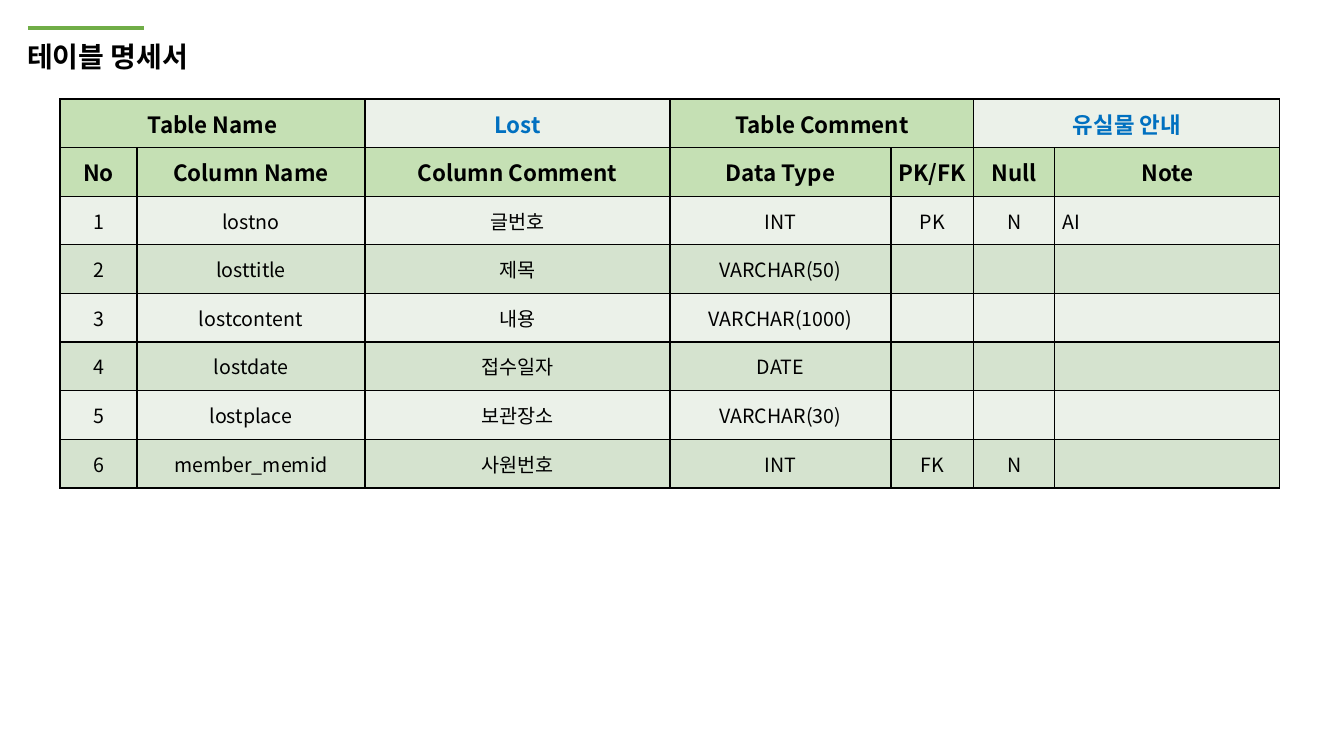
from lxml.etree import SubElement
from pptx import Presentation
from pptx.dml.color import RGBColor
from pptx.enum.shapes import MSO_CONNECTOR as Connector
from pptx.enum.text import MSO_ANCHOR as Anchor, MSO_AUTO_SIZE as AutoSize, PP_ALIGN as Align
from pptx.oxml.ns import qn
from pptx.util import Pt

# Content
TITLE = "테이블 명세서"
# text, first column, columns spanned, text colour, fill
SUMMARY = [
    ("Table Name", 0, 2, "000000", "C5E0B4"),
    ("Lost", 2, 1, "0070C0", "EBF1E9"),
    ("Table Comment", 3, 2, "000000", "C5E0B4"),
    ("유실물 안내", 5, 2, "0070C0", "EBF1E9"),
]
HEADINGS = ["No", "Column Name", "Column Comment", "Data Type", "PK/FK", "Null", "Note"]
FIELDS = [
    ("lostno", "글번호", "INT", "PK", "N", "AI"),
    ("losttitle", "제목", "VARCHAR(50)", "", "", ""),
    ("lostcontent", "내용", "VARCHAR(1000)", "", "", ""),
    ("lostdate", "접수일자", "DATE", "", "", ""),
    ("lostplace", "보관장소", "VARCHAR(30)", "", "", ""),
    ("member_memid", "사원번호", "INT", "FK", "N", ""),
]
FONT = "Noto Sans CJK KR"
HEADING_FILL = "C5E0B4"
BAND_FILLS = ["EBF1E9", "D5E3CF"]
COLUMN_WIDTHS = [77, 228, 305, 221, 83, 81, 225]
TABLE_LEFT, TABLE_TOP, TABLE_HEIGHT = 60, 99, 389
SLIDE_WIDTH, SLIDE_HEIGHT = 1344, 756
SCALE = 12192000 / SLIDE_WIDTH


def px(length):
    return round(length * SCALE)


def colour(code):
    return RGBColor.from_string(code)


def style(paragraph, size, bold, code, align):
    paragraph.alignment = align
    font = paragraph.font
    font.name, font.size, font.bold = FONT, Pt(size), bold
    font.color.rgb = colour(code)
    defaults = paragraph._p.pPr.find(qn("a:defRPr"))
    SubElement(defaults, qn("a:ea"), typeface=FONT)


def add_borders(cell):
    properties = cell._tc.get_or_add_tcPr()
    for position, side in enumerate(("a:lnL", "a:lnR", "a:lnT", "a:lnB")):
        line = SubElement(properties, qn(side), w=str(Pt(1)))
        fill = SubElement(line, qn("a:solidFill"))
        SubElement(fill, qn("a:srgbClr"), val="000000")
        properties.insert(position, line)


def fill_cell(cell, text, fill, size, bold=False, code="000000", align=Align.CENTER):
    cell.text = text
    cell.vertical_anchor = Anchor.MIDDLE
    cell.fill.solid()
    cell.fill.fore_color.rgb = colour(fill)
    style(cell.text_frame.paragraphs[0], size, bold, code, align)


deck = Presentation()
deck.slide_width, deck.slide_height = px(SLIDE_WIDTH), px(SLIDE_HEIGHT)
slide = deck.slides.add_slide(deck.slide_layouts[5])

# Title
heading = slide.shapes.title
heading.left, heading.top, heading.width, heading.height = map(px, (17, 34, 401, 44))
heading.text = TITLE
heading.text_frame.auto_size = AutoSize.NONE
heading.text_frame.vertical_anchor = Anchor.MIDDLE
heading.text_frame.paragraphs[0].line_spacing = 1.0
style(heading.text_frame.paragraphs[0], 20, True, "000000", Align.LEFT)

# Accent line
accent = slide.shapes.add_connector(Connector.STRAIGHT, px(28), px(28), px(144), px(28))
accent.line.color.rgb = colour("70AD47")
accent.line.width = Pt(3)
SubElement(accent._element.spPr, qn("a:effectLst"))

# Table grid
row_count = len(FIELDS) + 2
table = slide.shapes.add_table(
    row_count, len(HEADINGS), px(TABLE_LEFT), px(TABLE_TOP),
    px(sum(COLUMN_WIDTHS)), px(TABLE_HEIGHT)).table
table.first_row = table.horz_banding = False
for column, width in zip(table.columns, COLUMN_WIDTHS):
    column.width = px(width)
for row in table.rows:
    row.height = px(TABLE_HEIGHT / row_count)

# Summary row
for text, first, span, code, fill in SUMMARY:
    cell = table.cell(0, first)
    if span > 1:
        cell.merge(table.cell(0, first + span - 1))
    fill_cell(cell, text, fill, 16, True, code)

# Heading row
for column, text in enumerate(HEADINGS):
    cell = table.cell(1, column)
    fill_cell(cell, text, HEADING_FILL, 16, True)
    if text in ("PK/FK", "Null"):
        cell.margin_left = cell.margin_right = cell.margin_top = cell.margin_bottom = px(4)

# Field rows
for number, field in enumerate(FIELDS, 1):
    for column, text in enumerate((str(number), *field)):
        cell = table.cell(number + 1, column)
        is_note = HEADINGS[column] == "Note"
        fill_cell(cell, text, BAND_FILLS[(number - 1) % 2], 14,
                  align=Align.LEFT if is_note else Align.CENTER)
        if is_note:
            cell.margin_left = px(8)

for cell in table.iter_cells():
    add_borders(cell)

deck.save("out.pptx")
